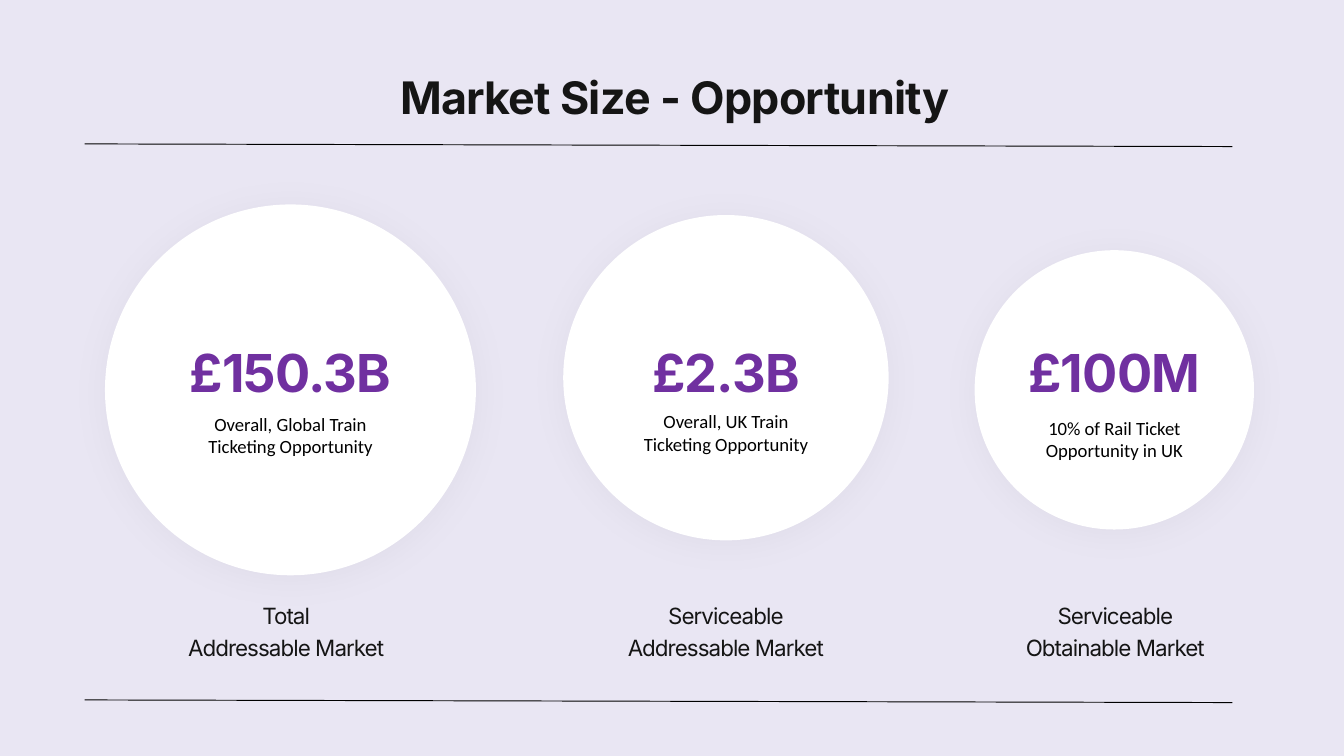
from lxml import etree
from pptx import Presentation
from pptx.dml.color import RGBColor
from pptx.enum.shapes import MSO_CONNECTOR, MSO_SHAPE
from pptx.enum.text import MSO_ANCHOR, PP_ALIGN
from pptx.oxml.ns import qn
from pptx.util import Cm, Pt

CENTER = PP_ALIGN.CENTER
TOP, MIDDLE, BOTTOM = MSO_ANCHOR.TOP, MSO_ANCHOR.MIDDLE, MSO_ANCHOR.BOTTOM
OVAL = MSO_SHAPE.OVAL
STRAIGHT = MSO_CONNECTOR.STRAIGHT

COLORS = {
    "background": "E9E6F3",
    "circle": "FFFFFF",
    "ink": "151515",
    "amount": "7030A0",
    "black": "000000",
}

TITLE = "Market Size - Opportunity"
MARKETS = [
    {"amount": "£150.3B", "note": "Overall, Global Train\nTicketing Opportunity",
     "caption": "Total\nAddressable Market",
     "center": (5.49, 7.37), "diameter": 7.01,
     "caption_center": 5.41, "note_top": 7.67, "note_width": 6.43},
    {"amount": "£2.3B", "note": "Overall, UK Train\nTicketing Opportunity",
     "caption": "Serviceable\nAddressable Market",
     "center": (13.72, 7.14), "diameter": 6.15,
     "caption_center": 13.72, "note_top": 7.62, "note_width": 5.33},
    {"amount": "£100M", "note": "10% of Rail Ticket Opportunity in UK",
     "caption": "Serviceable\nObtainable Market",
     "center": (21.06, 7.37), "diameter": 5.28,
     "caption_center": 21.08, "note_top": 7.75, "note_width": 4.39},
]
RULE_TOPS = [2.72, 13.23]
RULE_LEFT, RULE_RIGHT, RULE_DROP = 1.6, 23.29, 0.05

TITLE_STYLE = {"font": "Inter", "size": 24, "color": "ink", "bold": True,
               "spacing": -40, "leading": 28.8}
AMOUNT_STYLE = {**TITLE_STYLE, "size": 28, "color": "amount", "anchor": MIDDLE}
CAPTION_STYLE = {"font": "Inter", "size": 12, "color": "ink",
                 "spacing": -50, "leading": 16.8, "anchor": BOTTOM}
NOTE_STYLE = {"font": "Calibri", "size": 10, "color": "black", "padding": (0.25, 0.13)}


def rgb(name):
    return RGBColor.from_string(COLORS[name])


def add_text(slide, text, center, top, width, height, style):
    box = slide.shapes.add_textbox(Cm(center - width / 2), Cm(top), Cm(width), Cm(height))
    frame = box.text_frame
    frame.word_wrap = True
    frame.vertical_anchor = style.get("anchor", TOP)
    side, edge = style.get("padding", (0, 0))
    frame.margin_left = frame.margin_right = Cm(side)
    frame.margin_top = frame.margin_bottom = Cm(edge)
    frame.text = text
    for paragraph in frame.paragraphs:
        paragraph.alignment = CENTER
        if "leading" in style:
            paragraph.line_spacing = Pt(style["leading"])
        for run in paragraph.runs:
            run.font.name = style["font"]
            run.font.size = Pt(style["size"])
            run.font.bold = style.get("bold", False)
            run.font.color.rgb = rgb(style["color"])
            if "spacing" in style:
                run.font._element.set("spc", str(style["spacing"]))


def add_circle(slide, center, diameter):
    x, y = center
    circle = slide.shapes.add_shape(OVAL, Cm(x - diameter / 2), Cm(y - diameter / 2),
                                    Cm(diameter), Cm(diameter))
    circle.fill.solid()
    circle.fill.fore_color.rgb = rgb("circle")
    circle.line.fill.background()
    circle.shadow.inherit = False
    effects = circle._element.spPr.find(qn("a:effectLst"))
    shadow = etree.SubElement(effects, qn("a:outerShdw"), blurRad=str(Pt(20)),
                              dist=str(Pt(2)), dir="5400000", rotWithShape="0")
    tint = etree.SubElement(shadow, qn("a:srgbClr"), val=COLORS["black"])
    etree.SubElement(tint, qn("a:alpha"), val="4000")


def add_rule(slide, top):
    rule = slide.shapes.add_connector(STRAIGHT, Cm(RULE_LEFT), Cm(top),
                                      Cm(RULE_RIGHT), Cm(top + RULE_DROP))
    rule.line.color.rgb = rgb("black")
    rule.line.width = Pt(0.5)
    etree.SubElement(rule._element.spPr, qn("a:effectLst"))


def main():
    deck = Presentation()
    deck.slide_width, deck.slide_height = Cm(25.4), Cm(14.29)
    slide = deck.slides.add_slide(deck.slide_layouts[6])
    slide.background.fill.solid()
    slide.background.fill.fore_color.rgb = rgb("background")

    add_text(slide, TITLE, 12.75, 1.32, 22.86, 1.02, TITLE_STYLE)
    for top in RULE_TOPS:
        add_rule(slide, top)
    for market in MARKETS:
        middle, diameter = market["center"][0], market["diameter"]
        add_circle(slide, market["center"], diameter)
        add_text(slide, market["amount"], middle, 6.6, diameter, 1.02, AMOUNT_STYLE)
        add_text(slide, market["note"], middle, market["note_top"],
                 market["note_width"], 1.12, NOTE_STYLE)
        add_text(slide, market["caption"], market["caption_center"], 11.3, 7.62, 1.19,
                 CAPTION_STYLE)
    deck.save("out.pptx")


if __name__ == "__main__":
    main()
